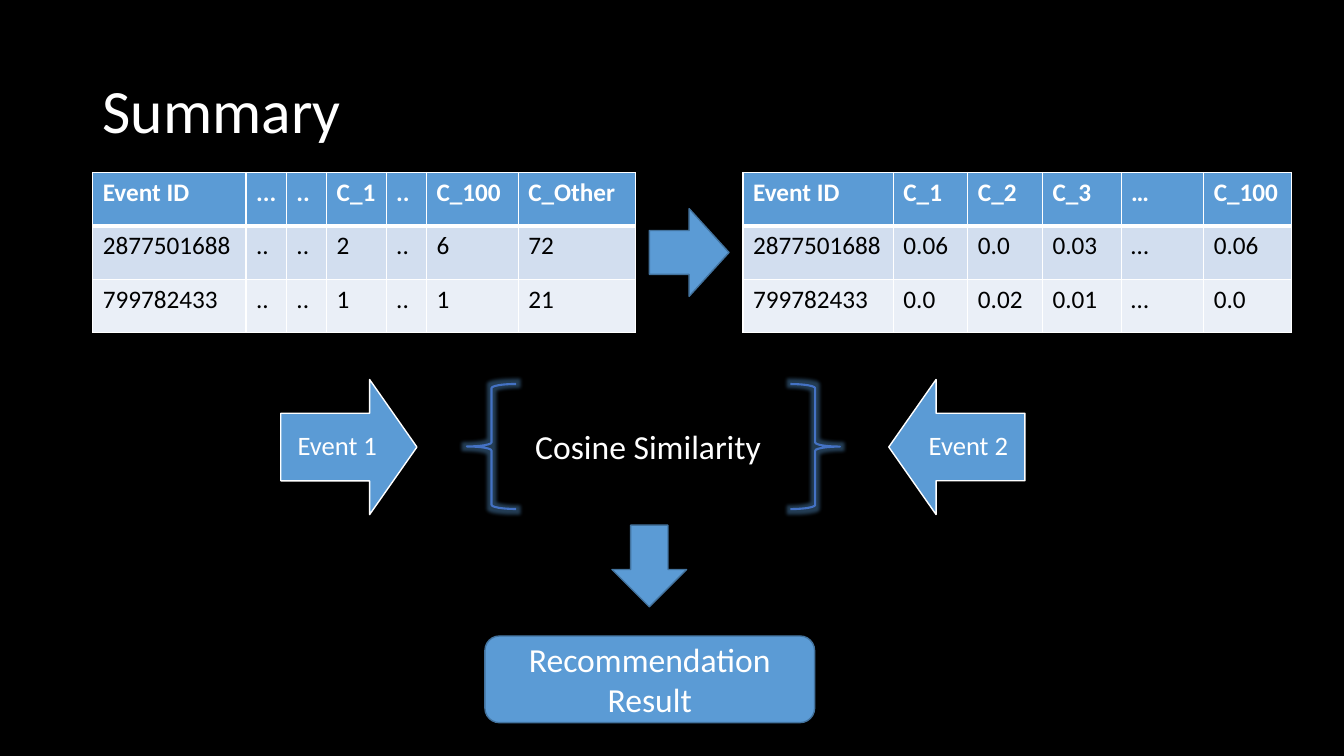
from dataclasses import dataclass

from lxml import etree
from pptx import Presentation
from pptx.dml.color import RGBColor
from pptx.enum.shapes import MSO_SHAPE
from pptx.enum.text import MSO_ANCHOR, PP_ALIGN
from pptx.oxml.ns import qn
from pptx.util import Inches, Pt

RIGHT_ARROW = MSO_SHAPE.RIGHT_ARROW
DOWN_ARROW = MSO_SHAPE.DOWN_ARROW
LEFT_BRACE = MSO_SHAPE.LEFT_BRACE
ROUND_RECT = MSO_SHAPE.ROUNDED_RECTANGLE
TOP, MIDDLE = MSO_ANCHOR.TOP, MSO_ANCHOR.MIDDLE
LEFT, CENTER = PP_ALIGN.LEFT, PP_ALIGN.CENTER


@dataclass(frozen=True)
class Theme:
    font: str = "Calibri"
    background: str = "000000"
    light: str = "FFFFFF"
    dark: str = "000000"
    accent: str = "5B9BD5"
    outline: str = "43739E"
    brace: str = "4472C4"
    bands: tuple = ("D2DEEF", "EAEFF7")
    title: int = 44
    large: int = 24
    label: int = 19
    cell: int = 18


THEME = Theme()

COUNTS = [
    ["Event ID", "...", "..", "C_1", "..", "C_100", "C_Other"],
    ["2877501688", "..", "..", "2", "..", "6", "72"],
    ["799782433", "..", "..", "1", "..", "1", "21"],
]
WEIGHTS = [
    ["Event ID", "C_1", "C_2", "C_3", "…", "C_100"],
    ["2877501688", "0.06", "0.0", "0.03", "…", "0.06"],
    ["799782433", "0.0", "0.02", "0.01", "…", "0.0"],
]


def rgb(value):
    return RGBColor.from_string(value)


def write(tf, text, size, color=THEME.light, align=LEFT, bold=False):
    tf.text = text
    p = tf.paragraphs[0]
    p.alignment = align
    font = p.runs[0].font
    font.name, font.size, font.bold = THEME.font, Pt(size), bold
    font.color.rgb = rgb(color)
    return p


def add_text(slide, box, text, size, align=LEFT, anchor=TOP, wrap=True, spacing=None, inset=None):
    tf = slide.shapes.add_textbox(*map(Inches, box)).text_frame
    tf.word_wrap = wrap
    tf.vertical_anchor = anchor
    if inset is not None:
        tf.margin_left = tf.margin_right = Inches(inset)
        tf.margin_top = tf.margin_bottom = Inches(inset)
    p = write(tf, text, size, align=align)
    if spacing:
        p.line_spacing = spacing


def add_block(slide, kind, box, fill=THEME.accent, line=THEME.outline, width=1, rotation=0):
    sp = slide.shapes.add_shape(kind, *map(Inches, box))
    sp.shadow.inherit = False
    sp.rotation = rotation
    if fill:
        sp.fill.solid()
        sp.fill.fore_color.rgb = rgb(fill)
    else:
        sp.fill.background()
    sp.line.color.rgb = rgb(line)
    sp.line.width = Pt(width)
    return sp


def add_brace(slide, left, rotation=0):
    sp = add_block(slide, LEFT_BRACE, (left, 3.81, 0.49, 1.24), None, THEME.brace, 1.5, rotation)
    # Soft glow around the outline
    effects = sp._element.spPr.find(qn("a:effectLst"))
    glow = etree.SubElement(effects, qn("a:glow"), rad=str(Pt(5)))
    color = etree.SubElement(glow, qn("a:srgbClr"), val=THEME.accent)
    etree.SubElement(color, qn("a:alpha"), val="40000")


def add_event(slide, text, arrow_left, text_left, rotation):
    sp = add_block(slide, DOWN_ARROW, (arrow_left, 3.76, 1.34, 1.35),
                   line=THEME.light, rotation=rotation)
    sp.adjustments[0], sp.adjustments[1] = 0.5, 0.35
    add_text(slide, (text_left, 4.1, 1.11, 0.67), text, THEME.label,
             CENTER, MIDDLE, spacing=0.9, inset=0.15)


def set_borders(cell, header, below_header):
    tc_pr = cell._tc.get_or_add_tcPr()
    widths = {"L": 1, "R": 1, "T": 3 if below_header else 1, "B": 3 if header else 1}
    for side, width in widths.items():
        ln = etree.SubElement(tc_pr, qn(f"a:ln{side}"), w=str(Pt(width)))
        fill = etree.SubElement(ln, qn("a:solidFill"))
        etree.SubElement(fill, qn("a:srgbClr"), val=THEME.light)


def add_data_table(slide, left, widths, rows, top=1.71, row_height=0.53):
    box = (left, top, sum(widths), row_height * len(rows))
    table = slide.shapes.add_table(len(rows), len(widths), *map(Inches, box)).table
    for column, width in zip(table.columns, widths):
        column.width = Inches(width)
    for i, row in enumerate(rows):
        header = i == 0
        fill = THEME.accent if header else THEME.bands[(i - 1) % 2]
        color = THEME.light if header else THEME.dark
        for j, text in enumerate(row):
            cell = table.cell(i, j)
            set_borders(cell, header, i == 1)
            cell.fill.solid()
            cell.fill.fore_color.rgb = rgb(fill)
            write(cell.text_frame, text, THEME.cell, color, bold=header)


def main():
    prs = Presentation()
    prs.slide_width, prs.slide_height = Inches(13.33), Inches(7.5)
    slide = prs.slides.add_slide(prs.slide_layouts[6])
    slide.background.fill.solid()
    slide.background.fill.fore_color.rgb = rgb(THEME.background)

    add_text(slide, (0.92, 0.4, 11.5, 1.45), "Summary", THEME.title, anchor=MIDDLE, spacing=0.9)

    # Category counts turned into weights
    add_data_table(slide, 0.92, [1.52, 0.4, 0.4, 0.59, 0.4, 0.91, 1.16], COUNTS)
    add_data_table(slide, 7.37, [1.49, 0.74, 0.74, 0.78, 0.82, 0.87], WEIGHTS)
    add_block(slide, RIGHT_ARROW, (6.44, 2.07, 0.79, 0.87))

    # Two events compared
    add_brace(slide, 4.63)
    add_brace(slide, 7.84, rotation=180)
    add_text(slide, (5.21, 4.18, 2.47, 0.5), "Cosine Similarity", THEME.large, wrap=False)
    add_event(slide, "Event 1", 2.79, 2.79, rotation=270)
    add_event(slide, "Event 2", 8.82, 9.05, rotation=90)

    # Result
    add_block(slide, DOWN_ARROW, (6.07, 5.21, 0.74, 0.81))
    result = add_block(slide, ROUND_RECT, (4.81, 6.31, 3.27, 0.86))
    result.text_frame.word_wrap = True
    result.text_frame.vertical_anchor = MIDDLE
    write(result.text_frame, "Recommendation Result", THEME.large, align=CENTER)

    prs.save("out.pptx")


if __name__ == "__main__":
    main()
